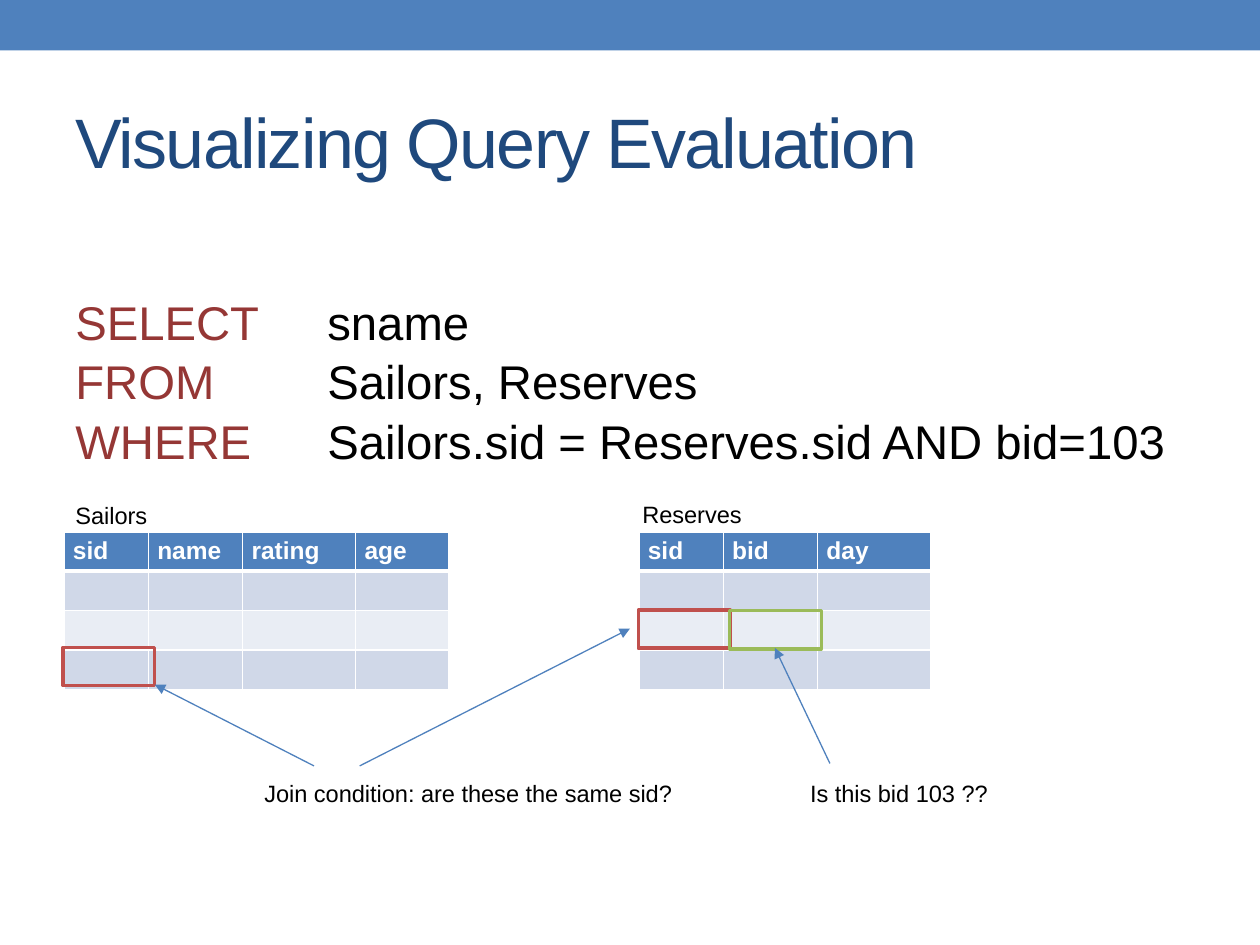
"""Build a slide that visualizes how a join query is evaluated."""
from dataclasses import dataclass

from lxml import etree
from pptx import Presentation
from pptx.dml.color import RGBColor
from pptx.enum.shapes import MSO_CONNECTOR, MSO_SHAPE
from pptx.enum.text import MSO_ANCHOR
from pptx.oxml.ns import qn
from pptx.slide import Slide
from pptx.util import Cm, Pt

RECTANGLE = MSO_SHAPE.RECTANGLE
STRAIGHT = MSO_CONNECTOR.STRAIGHT
MIDDLE = MSO_ANCHOR.MIDDLE
TOP = MSO_ANCHOR.TOP

FONT = "Arial"
BLUE = RGBColor(0x4F, 0x81, 0xBD)
NAVY = RGBColor(0x1F, 0x49, 0x7D)
MAROON = RGBColor(0x95, 0x37, 0x35)
RED = RGBColor(0xC0, 0x50, 0x4D)
GREEN = RGBColor(0x9B, 0xBB, 0x59)
BLACK = RGBColor(0x00, 0x00, 0x00)
WHITE = RGBColor(0xFF, 0xFF, 0xFF)
DARK_BAND = RGBColor(0xD0, 0xD8, 0xE8)
LIGHT_BAND = RGBColor(0xE9, 0xED, 0xF4)

ROW_FILLS = (BLUE, DARK_BAND, LIGHT_BAND, DARK_BAND)
ROW_HEIGHT = 0.78
TABLE_TOP = 10.72
TABLE_TEXT_SIZE = 14
CLAUSE_TAB = 5.08


@dataclass(frozen=True)
class Relation:
    left: float
    columns: dict[str, float]


@dataclass(frozen=True)
class Label:
    text: str
    left: float
    top: float
    width: float


@dataclass(frozen=True)
class Highlight:
    left: float
    top: float
    color: RGBColor


@dataclass(frozen=True)
class Arrow:
    start: tuple[float, float]
    end: tuple[float, float]


QUERY = (
    ("SELECT", "sname"),
    ("FROM", "Sailors, Reserves"),
    ("WHERE", "Sailors.sid = Reserves.sid AND bid=103"),
)
RELATIONS = (
    Relation(1.29, {"sid": 1.7, "name": 1.9, "rating": 2.28, "age": 1.87}),
    Relation(12.88, {"sid": 1.7, "bid": 1.9, "day": 2.28}),
)
LABELS = (
    Label("Sailors", 1.27, 9.98, 1.98),
    Label("Reserves", 12.7, 9.96, 2.54),
    Label("Join condition: are these the same sid?", 5.08, 15.57, 8.84),
    Label("Is this bid 103 ??", 16.08, 15.57, 4.29),
)
HIGHLIGHTS = (
    Highlight(1.27, 13.05, RED),
    Highlight(12.87, 12.3, RED),
    Highlight(14.71, 12.31, GREEN),
)
ARROWS = (
    Arrow((6.33, 15.44), (3.12, 13.8)),
    Arrow((7.25, 15.44), (12.7, 12.67)),
    Arrow((16.73, 15.39), (15.62, 13.06)),
)


def add_run(paragraph, text: str, *, size: float, color: RGBColor, bold: bool = False, spacing: int = 0) -> None:
    """Append formatted text to a paragraph."""
    run = paragraph.add_run()
    run.text = text
    run.font.name = FONT
    run.font.size = Pt(size)
    run.font.bold = bold
    run.font.color.rgb = color
    if spacing:
        run.font._element.set("spc", str(spacing))


def add_text_frame(slide: Slide, left: float, top: float, width: float, height: float, *, wrap: bool = False, anchor=TOP):
    """Add a text box and return its frame."""
    frame = slide.shapes.add_textbox(Cm(left), Cm(top), Cm(width), Cm(height)).text_frame
    frame.word_wrap = wrap
    frame.vertical_anchor = anchor
    return frame


def add_rectangle(slide: Slide, left: float, top: float, width: float, height: float):
    """Add a rectangle without shadow."""
    shape = slide.shapes.add_shape(RECTANGLE, Cm(left), Cm(top), Cm(width), Cm(height))
    shape.shadow.inherit = False
    return shape


def add_query(slide: Slide) -> None:
    """Add the query with its clauses aligned on one tab stop."""
    frame = add_text_frame(slide, 1.27, 5.72, 22.68, 3.71)
    for index, (keyword, clause) in enumerate(QUERY):
        paragraph = frame.add_paragraph() if index else frame.paragraphs[0]
        paragraph.line_spacing = 1.05
        tabs = etree.SubElement(paragraph._p.get_or_add_pPr(), qn("a:tabLst"))
        etree.SubElement(tabs, qn("a:tab"), pos=str(Cm(CLAUSE_TAB)), algn="l")
        add_run(paragraph, f"{keyword}\t", size=27, color=MAROON)
        add_run(paragraph, clause, size=27, color=BLACK)


def add_border(cell, side: str, width: float) -> None:
    """Add a white border to one side of a cell."""
    properties = cell._tc.get_or_add_tcPr()
    line = etree.SubElement(properties, qn(f"a:ln{side}"), w=str(Pt(width)))
    fill = etree.SubElement(line, qn("a:solidFill"))
    etree.SubElement(fill, qn("a:srgbClr"), val=str(WHITE))


def add_relation(slide: Slide, relation: Relation) -> None:
    """Add a relation as a table with a header and empty rows."""
    widths = relation.columns.values()
    table = slide.shapes.add_table(
        len(ROW_FILLS), len(widths), Cm(relation.left), Cm(TABLE_TOP),
        Cm(sum(widths)), Cm(ROW_HEIGHT * len(ROW_FILLS)),
    ).table
    table.horz_banding = False
    for column, width in zip(table.columns, widths):
        column.width = Cm(width)
    for row_index, (row, color) in enumerate(zip(table.rows, ROW_FILLS)):
        row.height = Cm(ROW_HEIGHT)
        for cell, name in zip(row.cells, relation.columns):
            cell.margin_left = cell.margin_right = Cm(0.18)
            cell.margin_top = cell.margin_bottom = Cm(0.1)
            for side in "LRTB":
                thick = (row_index, side) in ((0, "B"), (1, "T"))
                add_border(cell, side, 3 if thick else 1)
            cell.fill.solid()
            cell.fill.fore_color.rgb = color
            paragraph = cell.text_frame.paragraphs[0]
            if row_index == 0:
                add_run(paragraph, name, size=TABLE_TEXT_SIZE, color=WHITE, bold=True)
            else:
                etree.SubElement(paragraph._p, qn("a:endParaRPr"), sz=str(TABLE_TEXT_SIZE * 100))


def add_label(slide: Slide, label: Label) -> None:
    """Add a small caption."""
    frame = add_text_frame(slide, label.left, label.top, label.width, 0.84)
    add_run(frame.paragraphs[0], label.text, size=13.5, color=BLACK)


def add_highlight(slide: Slide, highlight: Highlight) -> None:
    """Outline a table cell."""
    shape = add_rectangle(slide, highlight.left, highlight.top, 1.85, 0.77)
    shape.fill.background()
    shape.line.color.rgb = highlight.color
    shape.line.width = Pt(2.08)


def add_arrow(slide: Slide, arrow: Arrow) -> None:
    """Add a thin line with an arrowhead at its end."""
    points = (Cm(value) for value in arrow.start + arrow.end)
    connector = slide.shapes.add_connector(STRAIGHT, *points)
    connector.line.color.rgb = BLUE
    connector.line.width = Pt(0.75)
    etree.SubElement(connector.line._get_or_add_ln(), qn("a:tailEnd"), type="triangle")
    etree.SubElement(connector._element.spPr, qn("a:effectLst"))


def main() -> None:
    """Build and save the presentation."""
    presentation = Presentation()
    presentation.slide_width, presentation.slide_height = Cm(25.4), Cm(19.05)
    slide = presentation.slides.add_slide(presentation.slide_layouts[6])
    banner = add_rectangle(slide, 0, 0, 25.4, 1.02)
    banner.fill.solid()
    banner.fill.fore_color.rgb = BLUE
    banner.line.fill.background()
    title = add_text_frame(slide, 1.27, 1.47, 22.86, 2.74, wrap=True, anchor=MIDDLE)
    add_run(title.paragraphs[0], "Visualizing Query Evaluation", size=40, color=NAVY, spacing=-100)
    add_query(slide)
    for items, draw in ((RELATIONS, add_relation), (LABELS, add_label), (HIGHLIGHTS, add_highlight), (ARROWS, add_arrow)):
        for item in items:
            draw(slide, item)
    presentation.save("out.pptx")


if __name__ == "__main__":
    main()
